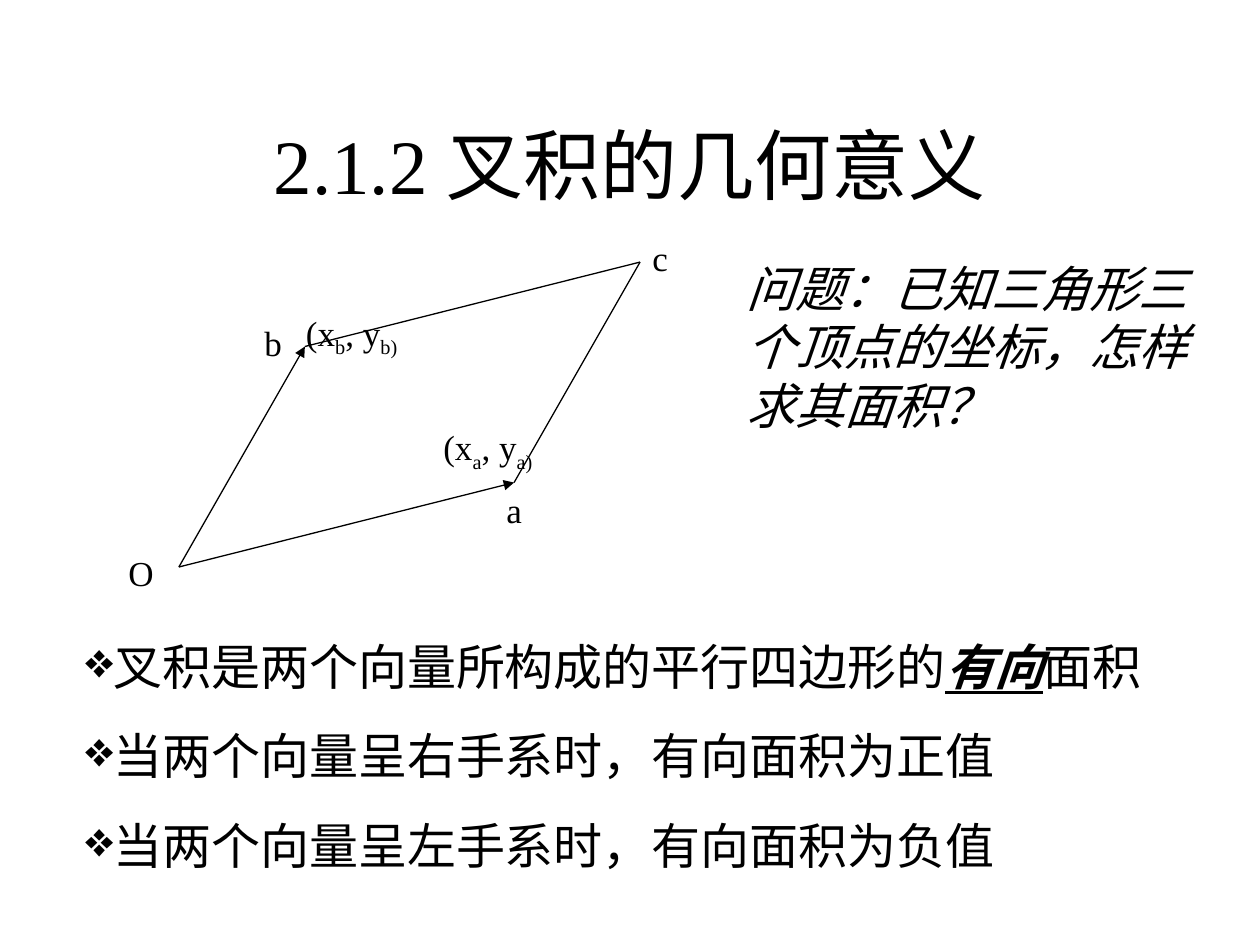
"""Build the slide on the geometric meaning of the cross product."""
import pptx
import pptx.util
import pptx.dml.color
import pptx.enum.shapes
import pptx.enum.text
from lxml import etree
from pptx.oxml.ns import qn

Inches, Pt = pptx.util.Inches, pptx.util.Pt
INK = "000000"
FACE = "Times New Roman"

TITLE = "2.1.2 叉积的几何意义"
ASK = "问题：已知三角形三个顶点的坐标，怎样求其面积？"
POINTS = [
    [("叉积是两个向量所构成的平行四边形的", ""), ("有向", "strong"), ("面积", "")],
    [("当两个向量呈右手系时，有向面积为正值", "")],
    [("当两个向量呈左手系时，有向面积为负值", "")],
]
SPOTS = {"O": (1.42, 4.5), "a": (4.08, 3.83), "b": (2.42, 2.75), "c": (5.08, 2.08)}
EDGES = [("O", "a", True), ("O", "b", True), ("b", "c", False), ("a", "c", False)]
NAMES = {"b": (2, 2.5), "a": (3.92, 3.83), "c": (5.08, 1.83), "O": (0.92, 4.33)}
COORDS = {"b": (2.33, 2.42), "a": (3.42, 3.33)}


def paint(color, code):
    color.rgb = pptx.dml.color.RGBColor.from_string(code)


def add_text(slide, box, paras, size, gap=0, mark=None, slant=None):
    frame = slide.shapes.add_textbox(*map(Inches, box)).text_frame
    frame.word_wrap = True
    for i, runs in enumerate(paras):
        para = frame.paragraphs[0] if i == 0 else frame.add_paragraph()
        if mark:
            props = para._p.get_or_add_pPr()
            props.set("marL", "0")
            props.set("indent", "0")
            etree.SubElement(props, qn("a:buChar")).set("char", mark)
        if i:
            para.space_before = Pt(gap)
        font = para.font
        font.name, font.size, font.italic = FACE, Pt(size), slant
        paint(font.color, INK)
        for text, style in runs:
            run = para.add_run()
            run.text = text
            if style == "strong":
                run.font.bold = run.font.italic = run.font.underline = True
            elif style == "sub":
                run._r.get_or_add_rPr().set("baseline", "-25000")
    return frame


def add_edge(slide, start, end, arrow):
    ends = map(Inches, SPOTS[start] + SPOTS[end])
    edge = slide.shapes.add_connector(pptx.enum.shapes.MSO_CONNECTOR.STRAIGHT, *ends)
    edge.line.width = Pt(0.75)
    paint(edge.line.color, INK)
    if arrow:
        tip = etree.SubElement(edge.line._get_or_add_ln(), qn("a:tailEnd"))
        tip.set("type", "triangle")
    etree.SubElement(edge._element.spPr, qn("a:effectLst"))


def main():
    deck = pptx.Presentation()
    deck.slide_width, deck.slide_height = Inches(10), Inches(7.5)
    slide = deck.slides.add_slide(deck.slide_layouts[6])

    title = add_text(slide, (0.75, 0.67, 8.5, 1.25), [[(TITLE, "")]], 44)
    title.vertical_anchor = pptx.enum.text.MSO_ANCHOR.MIDDLE
    title.paragraphs[0].alignment = pptx.enum.text.PP_ALIGN.CENTER

    for edge in EDGES:
        add_edge(slide, *edge)
    for name, spot in COORDS.items():
        runs = [("(x", ""), (name, "sub"), (", y", ""), (name + ")", "sub")]
        add_text(slide, (*spot, 1.08, 0.48), [runs], 20)
    for name, spot in NAMES.items():
        add_text(slide, (*spot, 0.58, 0.44), [[(name, "")]], 20)

    add_text(slide, (0.58, 5, 9.08, 1.99), POINTS, 28, gap=17.5, mark="❖")
    add_text(slide, (5.83, 2, 3.83, 1.5), [[(ASK, "")]], 28, slant=True)
    deck.save("out.pptx")


if __name__ == "__main__":
    main()
